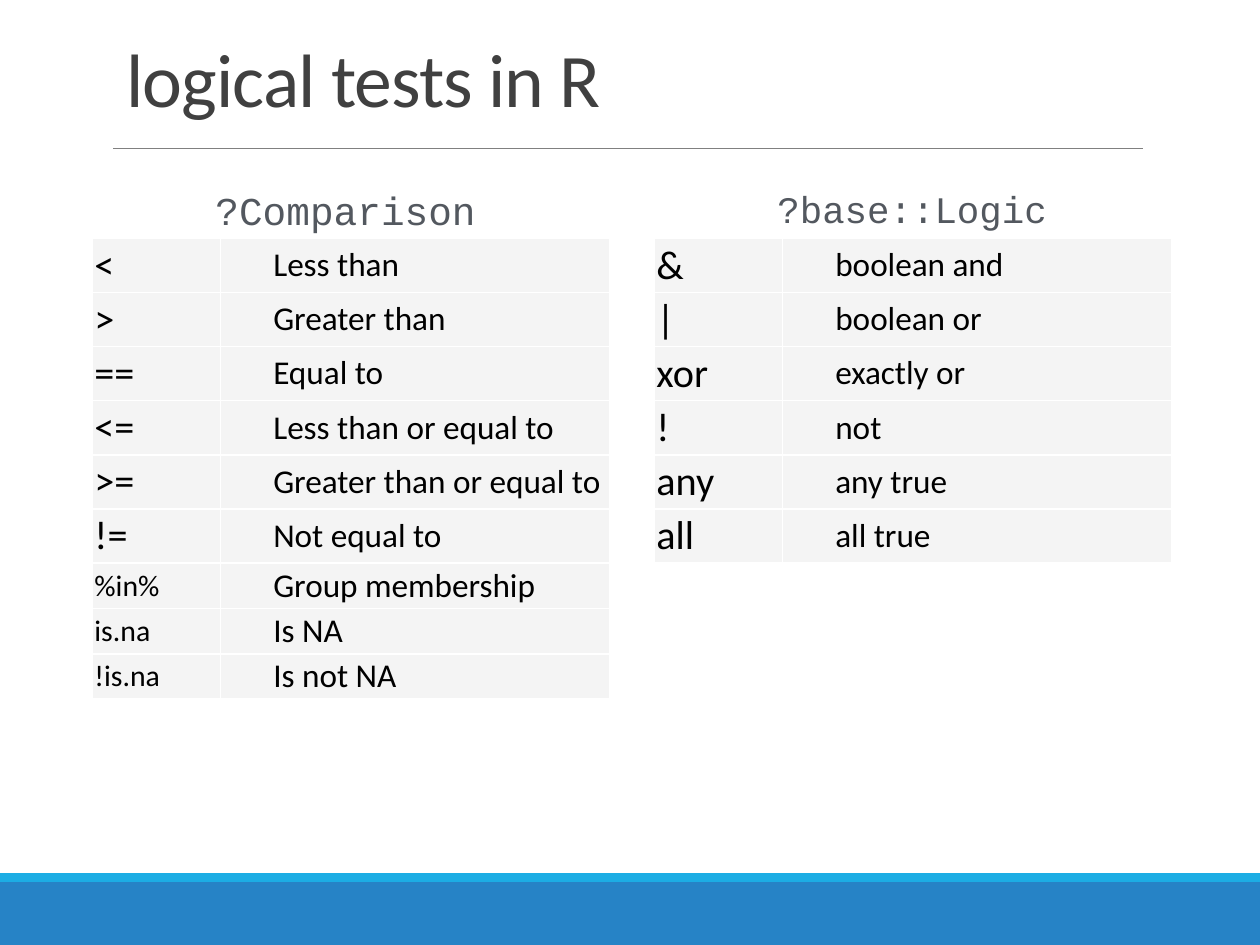
from pptx import Presentation
from pptx.util import Inches, Pt
from pptx.dml.color import RGBColor
from pptx.enum.shapes import MSO_CONNECTOR, MSO_SHAPE
from pptx.enum.text import MSO_ANCHOR, MSO_AUTO_SIZE, PP_ALIGN
from lxml import etree
from pptx.oxml.ns import qn

LEFT = PP_ALIGN.LEFT
MIDDLE, BOTTOM = MSO_ANCHOR.MIDDLE, MSO_ANCHOR.BOTTOM
NO_FIT = MSO_AUTO_SIZE.NONE
RECTANGLE, STRAIGHT = MSO_SHAPE.RECTANGLE, MSO_CONNECTOR.STRAIGHT

THEME = {
    "band": "2683C6", "stripe": "1CADE4", "rule": "808080",
    "cell": "EBEBEB", "border": "FFFFFF",
    "title": {"name": "Calibri", "size": 43.2, "color": "404040"},
    "heading": {"name": "Courier New", "size": 22.5, "color": "53585F"},
    "small_heading": {"name": "Courier New", "size": 21.4, "color": "53585F"},
    "symbol": {"name": "Calibri", "size": 23, "color": "000000"},
    "function": {"name": "Calibri", "size": 17, "color": "000000"},
    "meaning": {"name": "Calibri", "size": 19, "color": "000000"},
}
WIDTH, HEIGHT = 10, 7.5
COLUMN_WIDTHS = (1.02, 3.09)
TABLE_TOP, TABLE_LEFT, TABLE_PITCH = 1.89, 0.73, 4.46
HEADING_TOP, HEADING_OFFSET = 1.39, 0.95
TALL_ROW, SHORT_ROW = 0.43, 0.36
MEANING_INDENT = 0.4

comparison_tests = [
    ("<", "Less than"), (">", "Greater than"), ("==", "Equal to"),
    ("<=", "Less than or equal to"), (">=", "Greater than or equal to"),
    ("!=", "Not equal to"), ("%in%", "Group membership"),
    ("is.na", "Is NA"), ("!is.na", "Is not NA"),
]
logic_tests = [
    ("&", "boolean and"), ("|", "boolean or"), ("xor", "exactly or"),
    ("!", "not"), ("any", "any true"), ("all", "all true"),
]
SMALL_FUNCTIONS = ("%in%", "is.na", "!is.na")


def write(frame, text, style):
    """Put one left-aligned styled run in the frame and return its paragraph."""
    paragraph = frame.paragraphs[0]
    paragraph.alignment = LEFT
    run = paragraph.add_run()
    run.text = text
    run.font.name = THEME[style]["name"]
    run.font.size = Pt(THEME[style]["size"])
    run.font.color.rgb = RGBColor.from_string(THEME[style]["color"])
    return paragraph


def finish_cell(cell):
    """Give the cell its half-transparent fill and white borders."""
    cell.fill.solid()
    cell.fill.fore_color.rgb = RGBColor.from_string(THEME["cell"])
    properties = cell._tc.get_or_add_tcPr()
    color = properties.find(".//" + qn("a:srgbClr"))
    etree.SubElement(color, qn("a:alpha"), val="50000")
    for position, side in enumerate(("lnL", "lnR", "lnT", "lnB")):
        border = etree.Element(qn("a:" + side), w=str(Pt(1)))
        fill = etree.SubElement(border, qn("a:solidFill"))
        etree.SubElement(fill, qn("a:srgbClr"), val=THEME["border"])
        properties.insert(position, border)


deck = Presentation()
deck.slide_width, deck.slide_height = Inches(WIDTH), Inches(HEIGHT)
slide = deck.slides.add_slide(deck.slide_layouts[5])
shapes = slide.shapes

# Footer bands and the rule under the title
for top, height, color in ((7, 0.5, "band"), (6.93, 0.07, "stripe")):
    footer = shapes.add_shape(RECTANGLE, 0, Inches(top), Inches(WIDTH), Inches(height))
    footer.shadow.inherit = False
    footer.fill.solid()
    footer.fill.fore_color.rgb = RGBColor.from_string(THEME[color])
    footer.line.fill.background()

rule = shapes.add_connector(STRAIGHT, Inches(0.9), Inches(1.18), Inches(9.07), Inches(1.18))
rule.line.color.rgb = RGBColor.from_string(THEME["rule"])
rule.line.width = Pt(0.5)
etree.SubElement(rule._element.spPr, qn("a:effectLst"))

# Title
title = shapes.title
title_place = {"left": 0.9, "top": 0.31, "width": 8.25, "height": 0.72}
for name, value in title_place.items():
    setattr(title, name, Inches(value))
title_format = {"vertical_anchor": BOTTOM, "auto_size": NO_FIT, "word_wrap": True}
for name, value in title_format.items():
    setattr(title.text_frame, name, value)
title_line = write(title.text_frame, "logical tests in R", "title")
title_line.line_spacing = 0.85
title_line.runs[0].font._element.set("spc", "-50")

# One heading and one table for each family of tests
families = [
    ("?Comparison", "heading", comparison_tests),
    ("?base::Logic", "small_heading", logic_tests),
]
heading_format = {"word_wrap": True, "margin_left": Inches(0.03), "margin_right": 0,
                  "margin_top": Inches(0.09), "margin_bottom": 0}
cell_format = {"vertical_anchor": MIDDLE}
for side in ("left", "right", "top", "bottom"):
    cell_format["margin_" + side] = Inches(0.02)

for family, (heading_text, heading_style, tests) in enumerate(families):
    left = TABLE_LEFT + family * TABLE_PITCH
    heading = shapes.add_textbox(Inches(left + HEADING_OFFSET), Inches(HEADING_TOP),
                                 Inches(2.21), Inches(0.46))
    for name, value in heading_format.items():
        setattr(heading.text_frame, name, value)
    write(heading.text_frame, heading_text, heading_style)

    row_heights = [SHORT_ROW if test in SMALL_FUNCTIONS else TALL_ROW for test, _ in tests]
    table = shapes.add_table(len(tests), len(COLUMN_WIDTHS), Inches(left), Inches(TABLE_TOP),
                             Inches(sum(COLUMN_WIDTHS)), Inches(sum(row_heights))).table
    table.first_row = table.horz_banding = False
    for column, width in zip(table.columns, COLUMN_WIDTHS):
        column.width = Inches(width)
    for row, height, (test, meaning) in zip(table.rows, row_heights, tests):
        row.height = Inches(height)
        test_cell, meaning_cell = row.cells
        write(test_cell.text_frame, test, "function" if test in SMALL_FUNCTIONS else "symbol")
        meaning_line = write(meaning_cell.text_frame, meaning, "meaning")
        meaning_line._p.get_or_add_pPr().set("indent", str(Inches(MEANING_INDENT)))
        for cell in (test_cell, meaning_cell):
            for name, value in cell_format.items():
                setattr(cell, name, value)
            finish_cell(cell)

deck.save("out.pptx")
